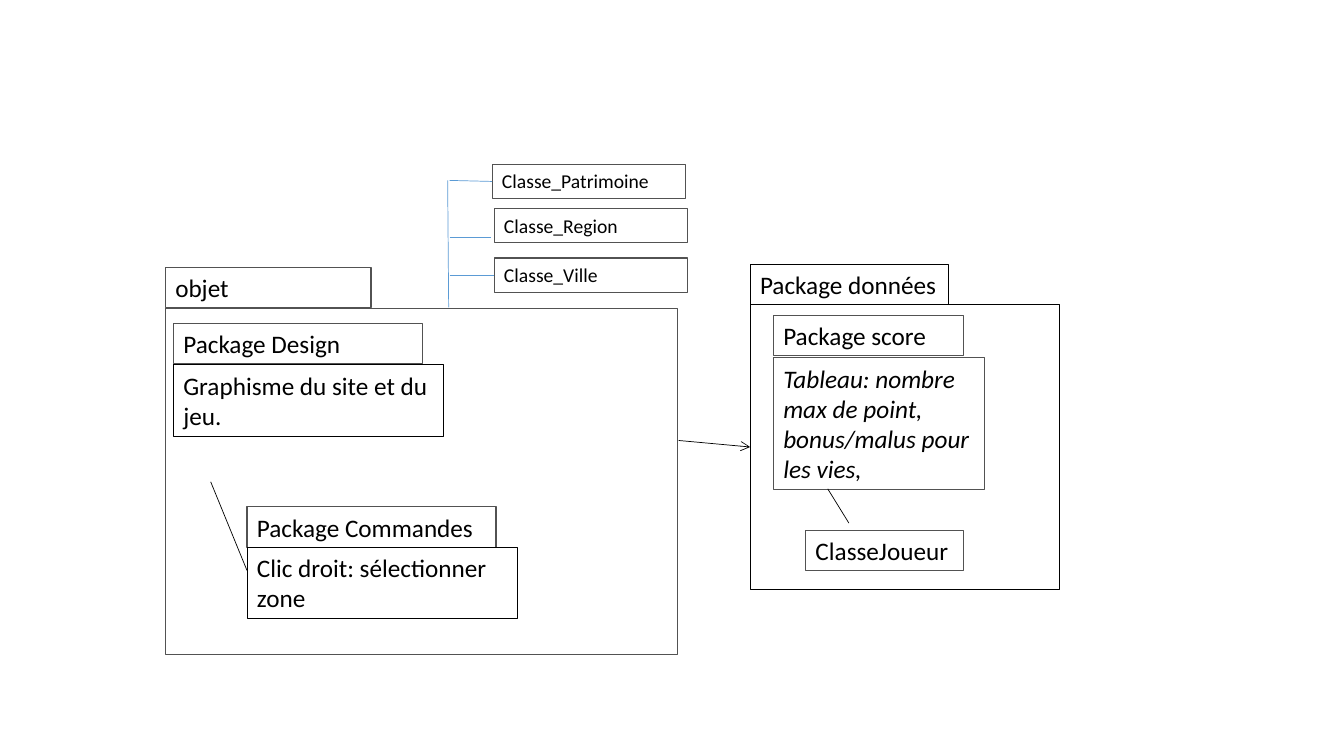
from dataclasses import dataclass

from lxml.etree import SubElement
from pptx import Presentation
from pptx.dml.color import RGBColor
from pptx.enum.shapes import MSO_CONNECTOR
from pptx.enum.text import MSO_AUTO_SIZE
from pptx.oxml.ns import qn
from pptx.util import Inches, Pt


@dataclass(frozen=True)
class Theme:
    font: str = "Calibri"
    black: RGBColor = RGBColor(0x00, 0x00, 0x00)
    gray: RGBColor = RGBColor(0x52, 0x52, 0x52)
    blue: RGBColor = RGBColor(0x5B, 0x9B, 0xD5)
    package_size: Pt = Pt(18)
    class_size: Pt = Pt(14)
    box_line: Pt = Pt(0.75)
    link_line: Pt = Pt(0.5)


theme = Theme()
presentation = Presentation()
presentation.slide_width = Inches(13.33)
presentation.slide_height = Inches(7.5)
slide = presentation.slides.add_slide(presentation.slide_layouts[6])


def add_box(left, top, width, height, color, text="", size=theme.package_size, italic=False):
    """Draw an outlined box; a text makes it a label."""
    position = [Inches(value) for value in (left, top, width, height)]
    box = slide.shapes.add_textbox(*position)
    box.fill.background()
    box.line.color.rgb = color
    box.line.width = theme.box_line
    frame = box.text_frame
    frame.word_wrap = True
    if text:
        frame.auto_size = MSO_AUTO_SIZE.SHAPE_TO_FIT_TEXT
        paragraph = frame.paragraphs[0]
        paragraph.text = text
        paragraph.font.name = theme.font
        paragraph.font.size = size
        paragraph.font.color.rgb = theme.black
        paragraph.font.italic = italic
    return box


def add_link(start, end, color=theme.black):
    """Draw a thin straight line without a shadow."""
    points = [Inches(value) for value in (*start, *end)]
    link = slide.shapes.add_connector(MSO_CONNECTOR.STRAIGHT, *points)
    link.line.color.rgb = color
    link.line.width = theme.link_line
    SubElement(link._element.spPr, qn("a:effectLst"))
    return link


# Package frames
add_box(1.64, 3.06, 5.08, 3.43, theme.gray)
data_frame = add_box(7.44, 3.02, 3.07, 2.83, theme.black)

# Package titles and contents
labels = [
    (1.64, 2.65, 2.04, 0.4, theme.gray, "objet"),
    (1.72, 3.21, 2.47, 0.4, theme.gray, "Package Design"),
    (1.72, 3.62, 2.68, 0.71, theme.black, "Graphisme du site et du jeu."),
    (2.45, 5.03, 2.47, 0.4, theme.gray, "Package Commandes"),
    (2.45, 5.43, 2.68, 0.71, theme.black, "Clic droit: sélectionner zone"),
    (7.44, 2.62, 1.97, 0.4, theme.black, "Package données"),
    (7.67, 3.13, 1.89, 0.4, theme.gray, "Package score"),
    (7.99, 5.26, 1.57, 0.4, theme.gray, "ClasseJoueur"),
]
for label in labels:
    add_box(*label)
add_box(7.67, 3.55, 2.09, 1.31, theme.gray,
        "Tableau: nombre max de point, bonus/malus pour les vies,", italic=True)

# Classes and their branches: left, top, name, branch height, branch end, joined
classes = [
    (4.88, 1.63, "Classe_Patrimoine", 1.79, 4.88, True),
    (4.9, 2.07, "Classe_Region", 2.35, 4.87, False),
    (4.9, 2.56, "Classe_Ville", 2.73, 4.9, True),
]
for left, top, name, branch_y, branch_end, joined in classes:
    class_box = add_box(left, top, 1.92, 0.34, theme.gray, name, theme.class_size)
    branch = add_link((4.46, branch_y), (branch_end, branch_y), theme.blue)
    if joined:
        branch.end_connect(class_box, 1)
add_link((4.44, 1.79), (4.45, 3.05), theme.blue)

# Links inside the packages
add_link((2.09, 4.78), (2.45, 5.66))
add_link((8.21, 4.85), (8.42, 5.19))

# Arrow from the objects to the data
arrow = add_link((6.73, 4.37), (7.44, 4.44))
arrow.end_connect(data_frame, 1)
SubElement(arrow.line._get_or_add_ln(), qn("a:tailEnd"), type="arrow")

presentation.save("out.pptx")
